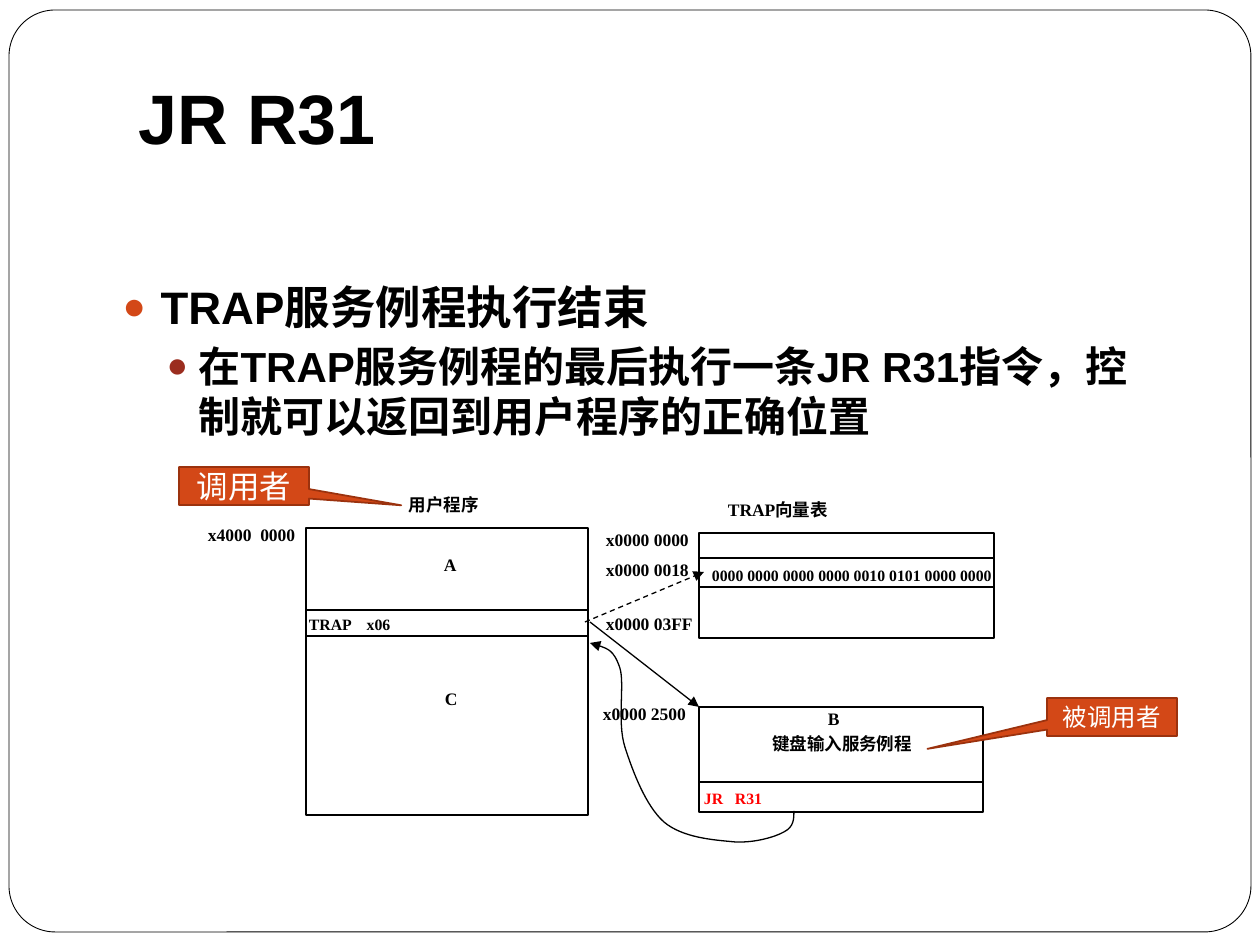
from lxml.etree import SubElement
from pptx import Presentation
from pptx.dml.color import RGBColor
from pptx.enum.dml import MSO_LINE
from pptx.enum.shapes import MSO_CONNECTOR, MSO_SHAPE
from pptx.enum.text import MSO_ANCHOR as ANCHOR, MSO_AUTO_SIZE, PP_ALIGN as ALIGN
from pptx.oxml.ns import qn
from pptx.util import Pt

PX = 914400 // 126
BLACK, WHITE = RGBColor(0, 0, 0), RGBColor(255, 255, 255)
RED = RGBColor(255, 0, 0)
ORANGE, RUST, BROWN = (RGBColor.from_string(c) for c in ("D34817", "9B2D1F", "9B320E"))
SANS, SERIF = "Arial", "Times New Roman"

# Content: boxes are (left, top, width, height) in px
TITLE = ("JR R31", (126, 38, 1071, 158))
BODY_BOX = (110, 273, 1042, 515)
BULLETS = [  # text, level, size, left indent, hanging, space before, bullet colour
    ("TRAP服务例程执行结束", 0, 26, 38, 38, 0, ORANGE),
    ("在TRAP服务例程的最后执行一条JR R31指令，控制就可以返回到用户程序的正确位置",
     1, 24, 76, 32, 3.7, RUST),
]
MEMORY_BLOCKS = [  # box, y of the inner dividers
    ((306, 528, 282, 287), (610, 636)),
    ((699, 533, 295, 105), (558, 587)),
    ((699, 707, 284, 105), (782,)),
]
LABELS = [  # text, left, top, width
    ("用户程序", 406, 493, 100),
    ("TRAP向量表", 725, 498, 120),
    ("A", 441, 553, 63),
    ("C", 442, 687, 63),
    ("B", 825, 707, 63),
    ("x4000  0000", 205, 523, 117),
    ("x0000 0000", 603, 528, 101),
    ("x0000 0018", 603, 558, 101),
    ("x0000 03FF", 603, 612, 101),
    ("x0000 2500", 600, 702, 117),
]
ROUTINE_NAME = ("键盘输入服务例程", 757, 732, 170)
ROWS = [  # text, left, top, width, colour
    ("TRAP    x06", 306, 607, 348, BLACK),
    ("0000 0000 0000 0000 0010 0101 0000 0000", 709, 558, 290, BLACK),
    ("JR   R31", 701, 781, 289, RED),
]
ARROWS = [((585, 622), (704, 572), True), ((590, 622), (699, 707), False)]
RETURN_START = (794, 811)
RETURN_CURVE = [  # two control points and an end point a row
    (794, 819), (794, 827), (784, 832),
    (775, 837), (755, 843), (735, 842),
    (714, 840), (683, 838), (664, 822),
    (646, 806), (633, 772), (625, 747),
    (617, 722), (625, 684), (620, 668),
    (614, 650), (602, 646), (590, 643),
]
CALLOUTS = [  # text, left, top, size, pointer offsets
    ("调用者", 179, 467, 18, (1.21, 0.51)),
    ("被调用者", 1047, 698, 14, (-1.42, 0.84)),
]


def emu(values):
    return [value * PX for value in values]


def apply(target, **values):
    for name, value in values.items():
        setattr(target, name, value)


def set_font(paragraph, size, color=BLACK, name=SANS, bold=True):
    apply(paragraph.font, size=Pt(size), name=name, bold=bold)
    paragraph.font.color.rgb = color


def set_frame(frame, box_margins=None, anchor=ANCHOR.TOP):
    apply(frame, word_wrap=True, auto_size=MSO_AUTO_SIZE.NONE, vertical_anchor=anchor)
    if box_margins:
        across, down = emu(box_margins)
        apply(frame, margin_left=across, margin_right=across,
              margin_top=down, margin_bottom=down)


def place(shape, box):
    apply(shape, **dict(zip(("left", "top", "width", "height"), emu(box))))


def add_block(kind, box, fill=None, line=BLACK, width=0.75):
    shape = slide.shapes.add_shape(kind, *emu(box))
    shape.shadow.inherit = False
    if fill is None:
        shape.fill.background()
    else:
        shape.fill.solid()
        shape.fill.fore_color.rgb = fill
    shape.line.color.rgb = line
    shape.line.width = Pt(width)
    return shape


def add_arrowhead(shape):
    SubElement(shape.line._get_or_add_ln(), qn("a:tailEnd"), type="triangle")


def add_line(start, end, dashed=False, arrow=False):
    line = slide.shapes.add_connector(MSO_CONNECTOR.STRAIGHT, *emu(start + end))
    line.line.color.rgb = BLACK
    line.line.width = Pt(0.75)
    if dashed:
        line.line.dash_style = MSO_LINE.DASH
    if arrow:
        add_arrowhead(line)
    SubElement(line._element.spPr, qn("a:effectLst"))


def add_label(text, box, size=10, color=BLACK, align=ALIGN.LEFT, anchor=ANCHOR.TOP):
    frame = slide.shapes.add_textbox(*emu(box)).text_frame
    set_frame(frame, (3, 1), anchor)
    paragraph = frame.paragraphs[0]
    apply(paragraph, text=text, alignment=align)
    set_font(paragraph, size, color, SERIF)


def add_bullet(paragraph, color, left, hanging):
    properties = paragraph._p.get_or_add_pPr()
    properties.set("marL", str(left * PX))
    properties.set("indent", str(-hanging * PX))
    SubElement(SubElement(properties, qn("a:buClr")), qn("a:srgbClr"), val=str(color))
    SubElement(properties, qn("a:buSzPct"), val="85000")
    SubElement(properties, qn("a:buChar"), char="●")


presentation = Presentation()
apply(presentation, slide_width=1260 * PX, slide_height=945 * PX)
slide = presentation.slides.add_slide(presentation.slide_layouts[1])
title, body = slide.placeholders

# Rounded page border, behind everything
border = add_block(MSO_SHAPE.ROUNDED_RECTANGLE, (9, 10, 1242, 922), WHITE, width=0.5)
border.adjustments[0] = 0.05
title._element.addprevious(border._element)

# Title and bullet list
place(title, TITLE[1])
set_frame(title.text_frame, anchor=ANCHOR.MIDDLE)
heading = title.text_frame.paragraphs[0]
apply(heading, text=TITLE[0], alignment=ALIGN.LEFT)
set_font(heading, 40)

place(body, BODY_BOX)
set_frame(body.text_frame)
for index, (text, level, size, left, hanging, before, color) in enumerate(BULLETS):
    paragraph = body.text_frame.add_paragraph() if index else body.text_frame.paragraphs[0]
    add_bullet(paragraph, color, left, hanging)
    apply(paragraph, text=text, level=level, space_before=Pt(before))
    set_font(paragraph, size)

# Memory blocks with their dividers
for box, dividers in MEMORY_BLOCKS:
    add_block(MSO_SHAPE.RECTANGLE, box)
    for y in dividers:
        add_line((box[0], y), (box[0] + box[2], y))

# Labels and row contents
for text, left, top, width in LABELS:
    add_label(text, (left, top, width, 30))
text, *corner = ROUTINE_NAME
add_label(text, (*corner, 30), align=ALIGN.CENTER)
for text, left, top, width, color in ROWS:
    add_label(text, (left, top, width, 35), 9, color, anchor=ANCHOR.MIDDLE)

# Call arrows and the curved return arrow
for start, end, dashed in ARROWS:
    add_line(start, end, dashed, arrow=True)
builder = slide.shapes.build_freeform(*RETURN_START, scale=PX)
builder.add_line_segments(RETURN_CURVE, close=False)
curve = builder.convert_to_shape()
curve.shadow.inherit = False
curve.fill.background()
curve.line.color.rgb = BLACK
curve.line.width = Pt(0.75)
add_arrowhead(curve)
# Every three straight segments become one Bezier segment
segments = list(curve._element.iter(qn("a:lnTo")))
outline = segments[0].getparent()
for first in range(0, len(segments), 3):
    bezier = SubElement(outline, qn("a:cubicBezTo"))
    for segment in segments[first:first + 3]:
        bezier.append(segment[0])
        outline.remove(segment)

# Caller and callee callouts
for text, left, top, size, offsets in CALLOUTS:
    callout = add_block(MSO_SHAPE.RECTANGULAR_CALLOUT, (left, top, 130, 38),
                        ORANGE, BROWN, 1)
    for index, offset in enumerate(offsets):
        callout.adjustments[index] = offset
    set_frame(callout.text_frame, (13, 6), ANCHOR.MIDDLE)
    paragraph = callout.text_frame.paragraphs[0]
    apply(paragraph, text=text, alignment=ALIGN.CENTER)
    set_font(paragraph, size, WHITE, bold=False)

presentation.save("out.pptx")
